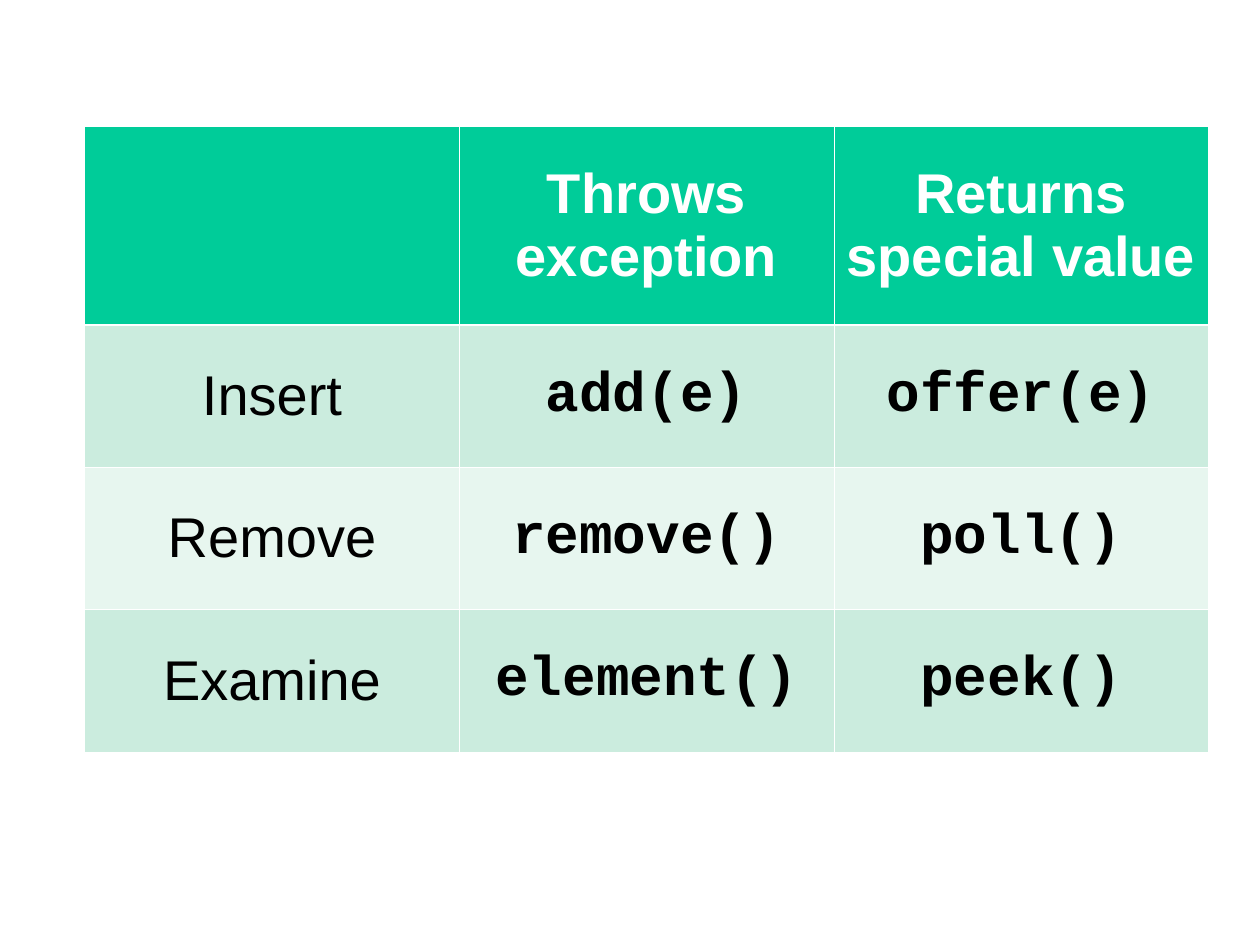
from lxml import etree
from pptx import Presentation
from pptx.dml.color import RGBColor as Rgb
from pptx.enum.text import MSO_ANCHOR as Anchor, PP_ALIGN as Align
from pptx.oxml.ns import qn
from pptx.util import Cm, Pt

COLORS = {
    "header": "00CC99",
    "odd": "CBECDE",
    "even": "E7F6EF",
    "light": "FFFFFF",
    "dark": "000000",
}
ROWS = [
    ["", "Throws exception", "Returns special value"],
    ["Insert", "add(e)", "offer(e)"],
    ["Remove", "remove()", "poll()"],
    ["Examine", "element()", "peek()"],
]
COLUMN_WIDTH, HEADER_HEIGHT, BODY_HEIGHT = Cm(7.55), Cm(4.01), Cm(2.87)
THIN, THICK = Pt(0.45), Pt(1.47)


def add_border(cell, side, width):
    line = etree.SubElement(cell._tc.get_or_add_tcPr(), qn(f"a:{side}"), w=str(width))
    fill = etree.SubElement(line, qn("a:solidFill"))
    etree.SubElement(fill, qn("a:srgbClr"), val=COLORS["light"])


def style_cell(cell, row, column):
    # Borders come before the fill in the cell properties
    widths = {
        "lnL": THIN,
        "lnR": THIN,
        "lnT": THICK if row == 1 else THIN,
        "lnB": THICK if row == 0 else THIN,
    }
    for side, width in widths.items():
        add_border(cell, side, width)
    shade = "header" if row == 0 else "odd" if row % 2 else "even"
    cell.fill.solid()
    cell.fill.fore_color.rgb = Rgb.from_string(COLORS[shade])
    cell.vertical_anchor = Anchor.MIDDLE

    # Method names are code, the other cells plain text
    is_header, is_code = row == 0, row > 0 and column > 0
    para = cell.text_frame.paragraphs[0]
    para.alignment = Align.CENTER
    font_format = {
        "name": "Courier New" if is_code else "Arial",
        "size": Pt(32),
        "bold": is_header or is_code,
    }
    for name, value in font_format.items():
        setattr(para.font, name, value)
    para.font.color.rgb = Rgb.from_string(COLORS["light" if is_header else "dark"])


def add_method_table(page):
    row_count, column_count = len(ROWS), len(ROWS[0])
    table = page.shapes.add_table(
        row_count, column_count, Cm(1.71), Cm(2.54),
        COLUMN_WIDTH * column_count,
        HEADER_HEIGHT + BODY_HEIGHT * (row_count - 1),
    ).table
    for column in table.columns:
        column.width = COLUMN_WIDTH
    for row, texts in enumerate(ROWS):
        table.rows[row].height = BODY_HEIGHT if row else HEADER_HEIGHT
        for column, text in enumerate(texts):
            cell = table.cell(row, column)
            cell.text = text
            style_cell(cell, row, column)


def main():
    deck = Presentation()
    deck.slide_width, deck.slide_height = Cm(25.4), Cm(19.05)
    page = deck.slides.add_slide(deck.slide_layouts[6])

    # Queue methods by kind of failure
    add_method_table(page)
    deck.save("out.pptx")


if __name__ == "__main__":
    main()
